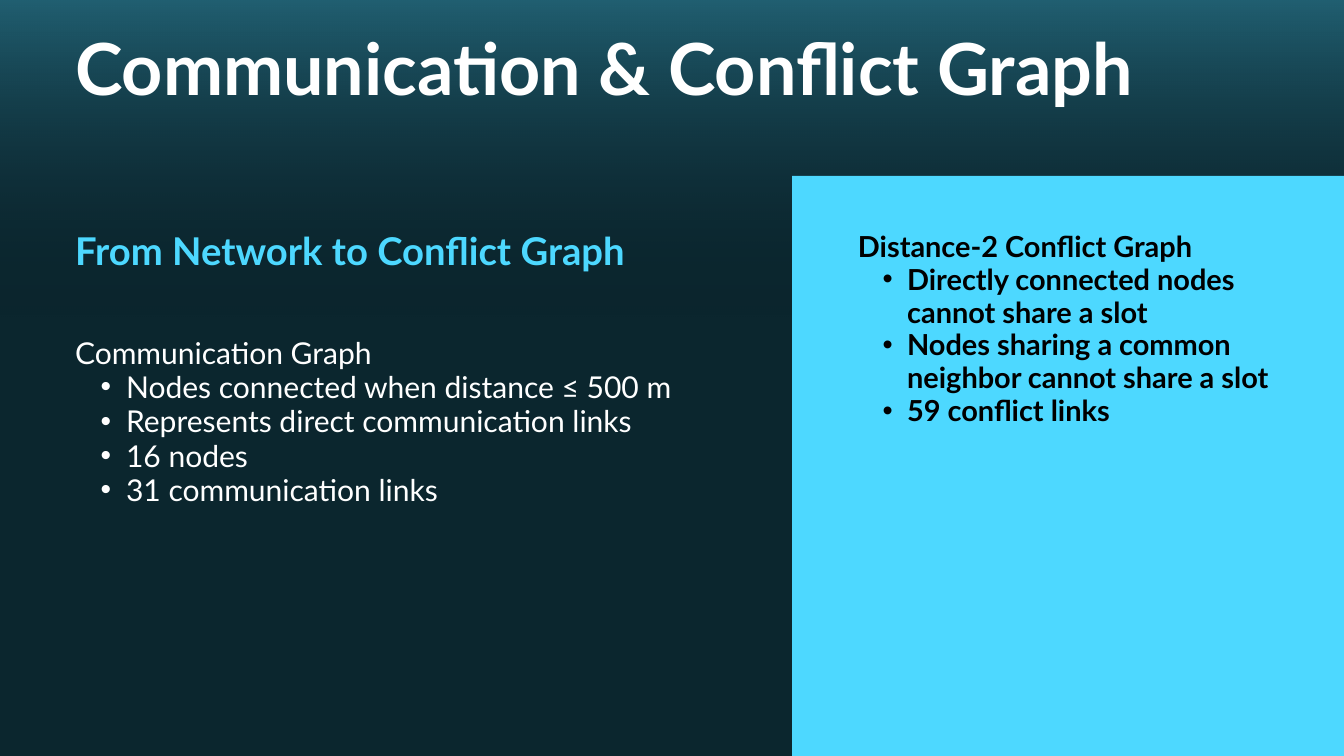
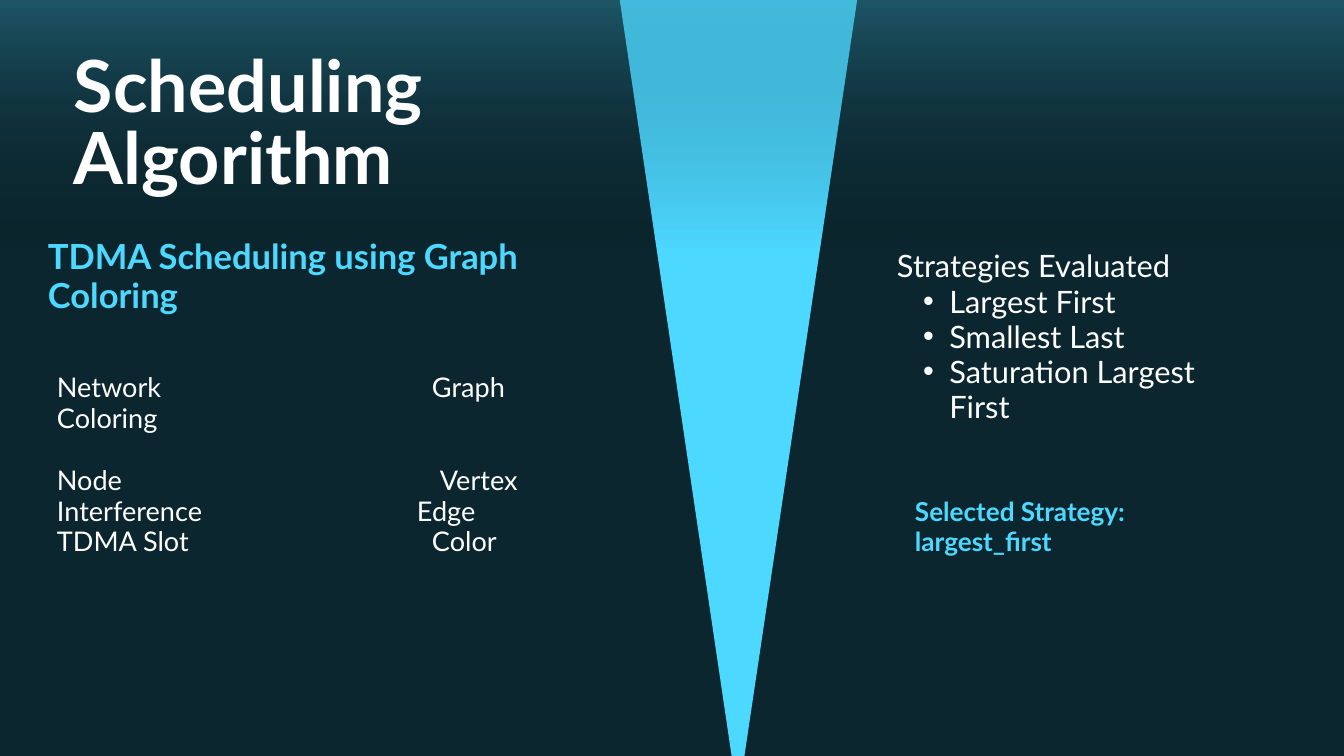
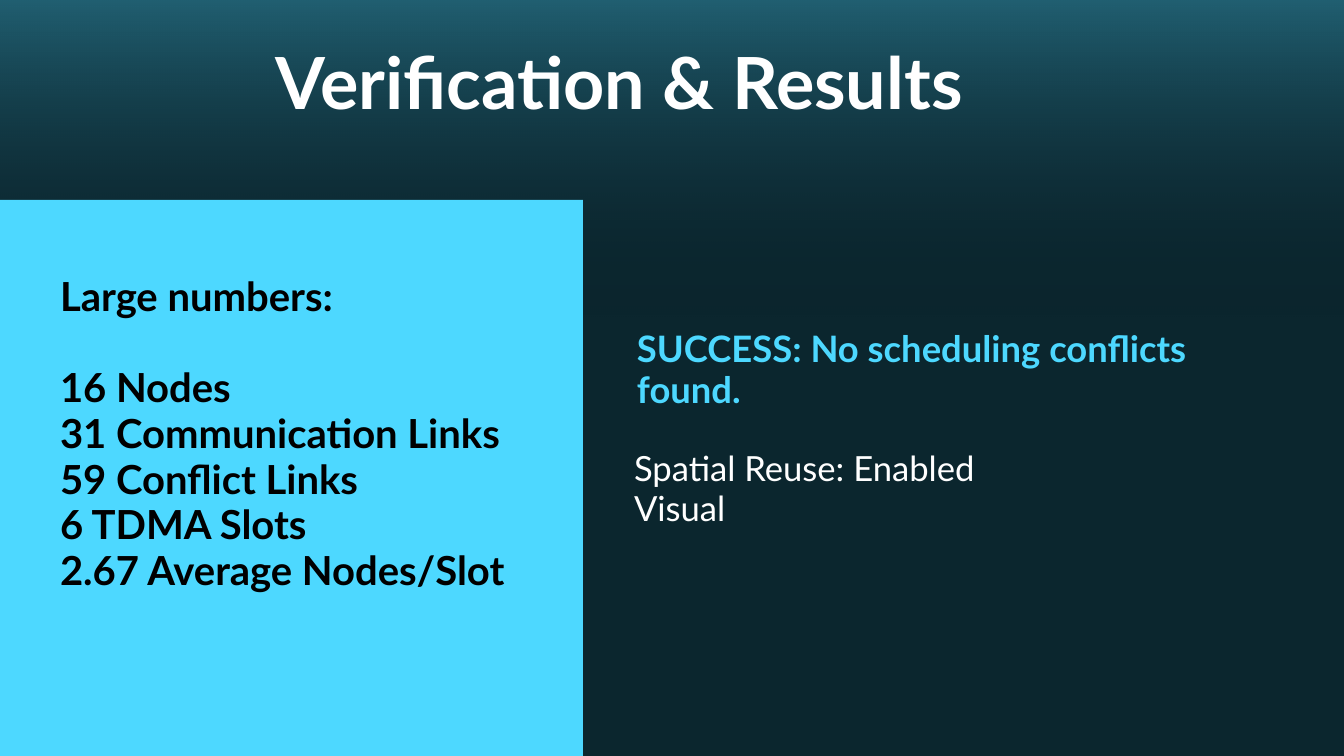
from dataclasses import dataclass
from typing import NamedTuple

from lxml import etree
from pptx import Presentation
from pptx import util as u
from pptx.dml.color import RGBColor
from pptx.enum import shapes, text
from pptx.oxml.ns import qn

PX = 914400 / 67.2


def emu(px):
    return u.Emu(round(px * PX))


class Box(NamedTuple):
    x: int
    y: int
    w: int
    h: int

    def sub(self, x, y, w, h):
        return Box(self.x + x, self.y + y, w, h)

    def emus(self):
        return [emu(v) for v in self]


class Style(NamedTuple):
    size: float
    color: str
    bold: bool = False
    lead: float = 1.14


@dataclass(frozen=True)
class Theme:
    font: str = "Lato"
    back: str = "0B262E"
    cyan: str = "4DD8FF"
    deep: str = "0A1921"
    white: str = "FFFFFF"
    black: str = "000000"
    glow: int = 68000
    hang: float = 1.7

    @property
    def title(self):
        return Style(77, self.white, True, 1.01)

    def body(self, size):
        return Style(size, self.white)

    def accent(self, size):
        return Style(size, self.cyan, True)

    def strong(self, size):
        return Style(size, self.black, True)


THEME = Theme()
PAGE = Box(0, 0, 1344, 756)


def rgb(code):
    return RGBColor.from_string(code)


def plain(shape):
    shape.shadow.inherit = False
    shape.line.fill.background()
    return shape


def paint(shape):
    plain(shape).fill.solid()
    shape.fill.fore_color.rgb = rgb(THEME.cyan)


def block(slide, box):
    return plain(slide.shapes.add_shape(shapes.MSO_SHAPE.RECTANGLE, *box.emus()))


def band(slide, box):
    shape = block(slide, box)
    shape.fill.gradient()
    shape.fill.gradient_angle = 270
    for stop, code in zip(shape.fill.gradient_stops, (THEME.cyan, THEME.deep)):
        stop.color.rgb = rgb(code)
    for node, alpha in zip(shape.element.iter(qn("a:srgbClr")), (THEME.glow, 0)):
        etree.SubElement(node, qn("a:alpha"), val=str(alpha))


def panel(slide, box):
    paint(block(slide, box))


def spike(slide, box):
    path = slide.shapes.build_freeform(0, 0, scale=PX)
    path.add_line_segments([(box.w, 0), (box.w / 2, box.h)], close=True)
    paint(path.convert_to_shape(emu(box.x), emu(box.y)))


def bullet(para, size):
    para.level = 1
    props = para._p.get_or_add_pPr()
    props.set("marL", str(u.Pt(THEME.hang * size)))
    props.set("indent", str(-u.Pt(THEME.hang * size / 2)))
    etree.SubElement(props, qn("a:buChar"), char="•")


def flush(para):
    props = para._p.get_or_add_pPr()
    props.set("marL", "0")
    props.set("indent", "0")
    etree.SubElement(props, qn("a:buNone"))


def stop_at(para, px):
    tabs = etree.SubElement(para._p.get_or_add_pPr(), qn("a:tabLst"))
    etree.SubElement(tabs, qn("a:tab"), pos=str(emu(px)), algn="l")


def write(para, words, style, gap=False):
    lead = u.Pt(round(style.size * style.lead, 1))
    para.alignment = text.PP_ALIGN.LEFT
    para.line_spacing = lead
    para.space_before = lead if gap else u.Pt(0)
    run = para.add_run()
    run.text = words
    font = run.font
    font.name, font.size, font.bold = THEME.font, u.Pt(style.size), style.bold
    font.color.rgb = rgb(style.color)


def place(slide, box, slot=None):
    if slot is None:
        shape = slide.shapes.add_textbox(*box.emus())
    else:
        shape = slide.placeholders[slot]
        shape.left, shape.top, shape.width, shape.height = box.emus()
        slide.shapes._spTree.append(shape.element)
    frame = shape.text_frame
    frame.word_wrap = True
    frame.auto_size = text.MSO_AUTO_SIZE.NONE
    frame.vertical_anchor = text.MSO_ANCHOR.TOP
    frame.margin_left = frame.margin_top = 0
    frame.margin_right = frame.margin_bottom = 0
    return frame


def paras(frame, items):
    for i, item in enumerate(items):
        yield (frame.add_paragraph() if i else frame.paragraphs[0]), item


def lines(slide, box, style, items, slot=None, gap=None):
    for i, (para, item) in enumerate(paras(place(slide, box, slot), items)):
        flush(para)
        write(para, item, style, i == gap)


def listing(slide, box, style, head, items, slot):
    for para, item in paras(place(slide, box, slot), [head, *items]):
        if item == head:
            flush(para)
        else:
            bullet(para, style.size)
        write(para, item, style)


def pairs(slide, box, style, rows, gap):
    for i, (para, row) in enumerate(paras(place(slide, box), rows)):
        left, right, tab = row
        stop_at(para, tab)
        write(para, f"{left}\t{right}", style, i == gap)


def title(slide, box, words):
    lines(slide, box, THEME.title, [words], 0)


def graphs(slide, page):
    band(slide, page.sub(-14, -135, 1372, 453))
    title(slide, page.sub(75, 37, 1178, 81), "Communication & Conflict Graph")
    listing(slide, page.sub(75, 336, 637, 203), THEME.body(32.2),
            "Communication Graph",
            ["Nodes connected when distance ≤ 500 m",
             "Represents direct communication links",
             "16 nodes", "31 communication links"], 1)
    lines(slide, page.sub(75, 230, 618, 47), THEME.accent(41),
          ["From Network to Conflict Graph"])
    side = page.sub(792, 176, 620, 617)
    panel(slide, side)
    listing(slide, side.sub(66, 54, 433, 266), THEME.strong(31),
            "Distance-2 Conflict Graph",
            ["Directly connected nodes cannot share a slot",
             "Nodes sharing a common neighbor cannot share a slot",
             "59 conflict links"], 2)


def method(slide, page):
    spike(slide, page.sub(610, -66, 257, 865))
    band(slide, page.sub(-14, -135, 1372, 385))
    title(slide, page.sub(74, 54, 479, 154), "Scheduling Algorithm")
    pairs(slide, page.sub(57, 372, 542, 187), THEME.body(29),
          [("Network", "Graph Coloring", 375), ("Node", "Vertex", 383),
           ("Interference", "Edge", 360), ("TDMA Slot", "Color", 375)], 1)
    listing(slide, page.sub(897, 249, 325, 213), THEME.body(33),
            "Strategies Evaluated",
            ["Largest First", "Smallest Last", "Saturation Largest First"], 1)
    lines(slide, page.sub(48, 237, 533, 82), THEME.accent(37),
          ["TDMA Scheduling using Graph Coloring"])
    lines(slide, page.sub(915, 497, 239, 62), THEME.accent(28),
          ["Selected Strategy: largest_first"])


def results(slide, page):
    band(slide, page.sub(-14, -135, 1372, 453))
    title(slide, page.sub(276, 51, 833, 81), "Verification & Results")
    lines(slide, page.sub(634, 449, 1038, 145), THEME.body(37.1),
          ["Spatial Reuse: Enabled", "Visual"], 2)
    lines(slide, page.sub(637, 328, 642, 87), THEME.accent(39),
          ["SUCCESS: No scheduling conflicts found."])
    side = page.sub(-37, 200, 620, 572)
    panel(slide, side)
    lines(slide, side.sub(97, 74, 551, 364), THEME.strong(42.9),
          ["Large numbers:", "16 Nodes", "31 Communication Links",
           "59 Conflict Links", "6 TDMA Slots", "2.67 Average Nodes/Slot"],
          1, gap=1)


def main():
    deck = Presentation()
    deck.slide_width, deck.slide_height = emu(PAGE.w), emu(PAGE.h)
    fill = deck.slide_master.background.fill
    fill.solid()
    fill.fore_color.rgb = rgb(THEME.back)
    one, two = deck.slide_layouts[1], deck.slide_layouts[3]
    for build, layout in ((graphs, two), (method, one), (results, two)):
        build(deck.slides.add_slide(layout), PAGE)
    deck.save("out.pptx")


if __name__ == "__main__":
    main()
